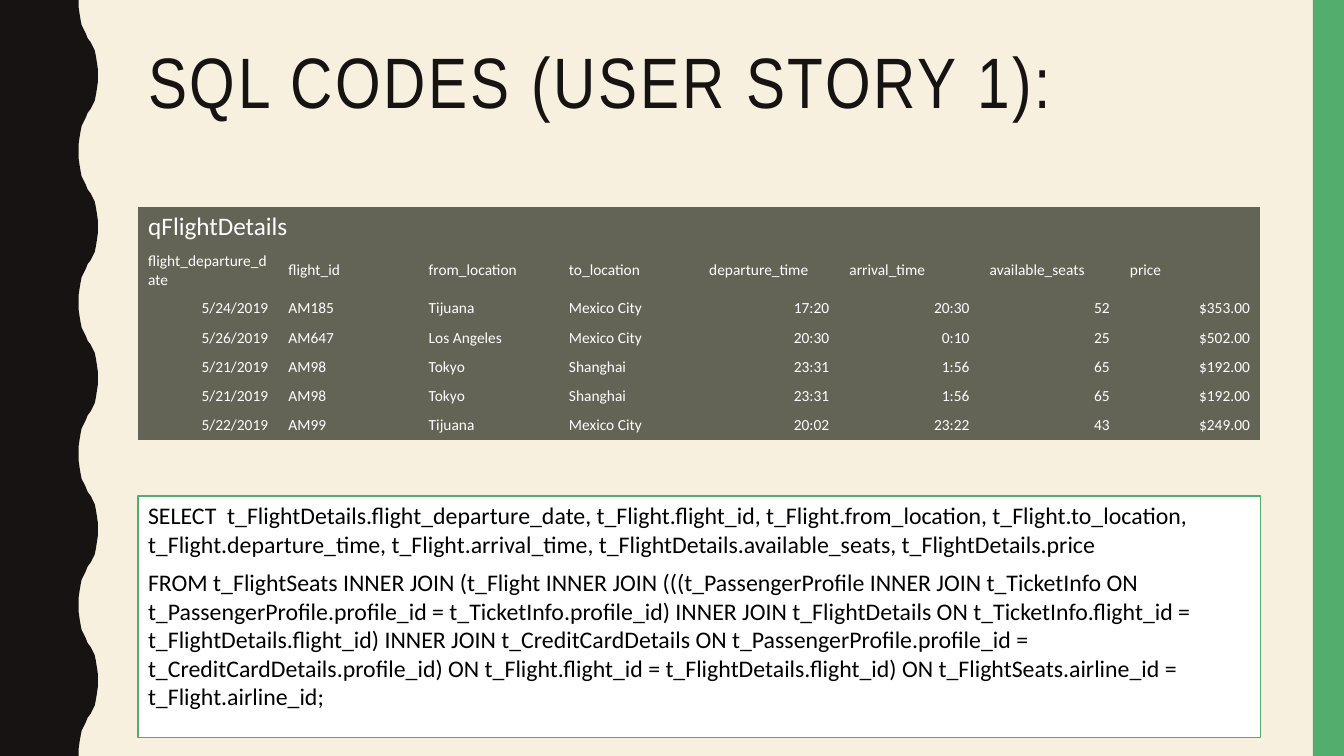
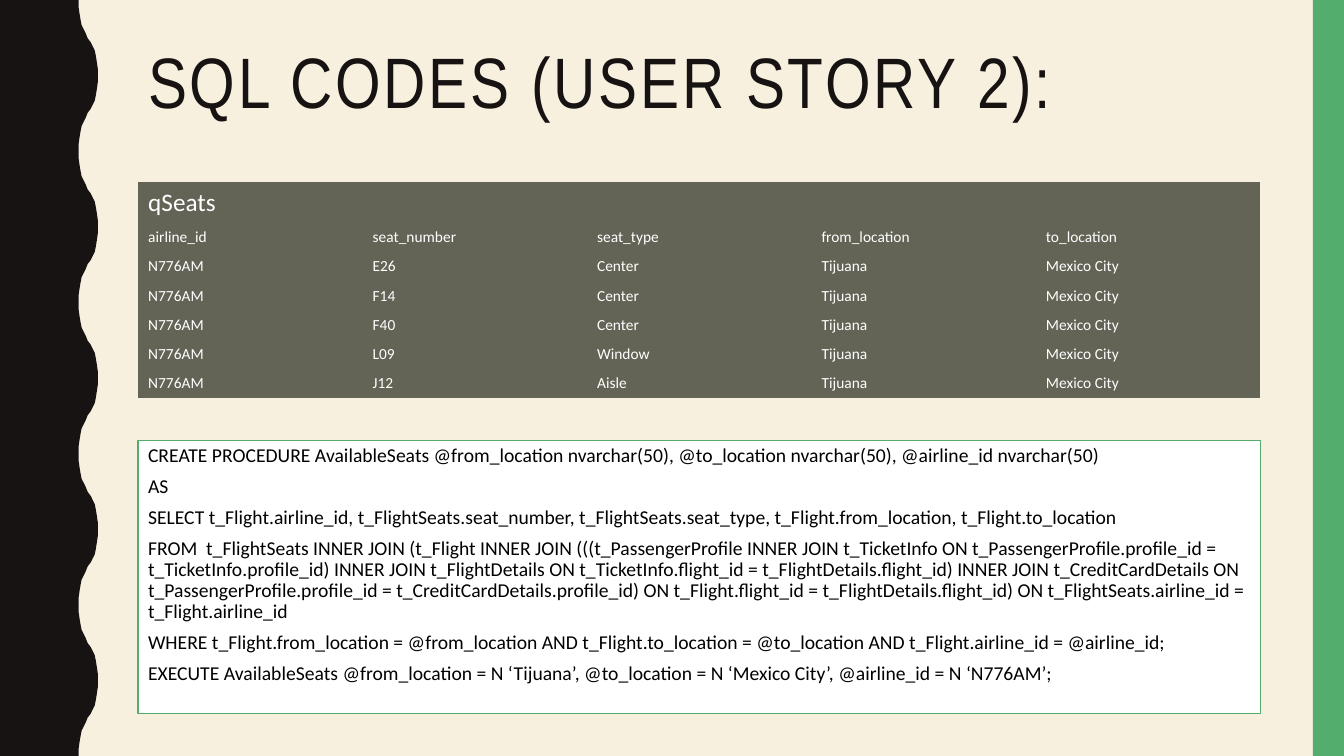
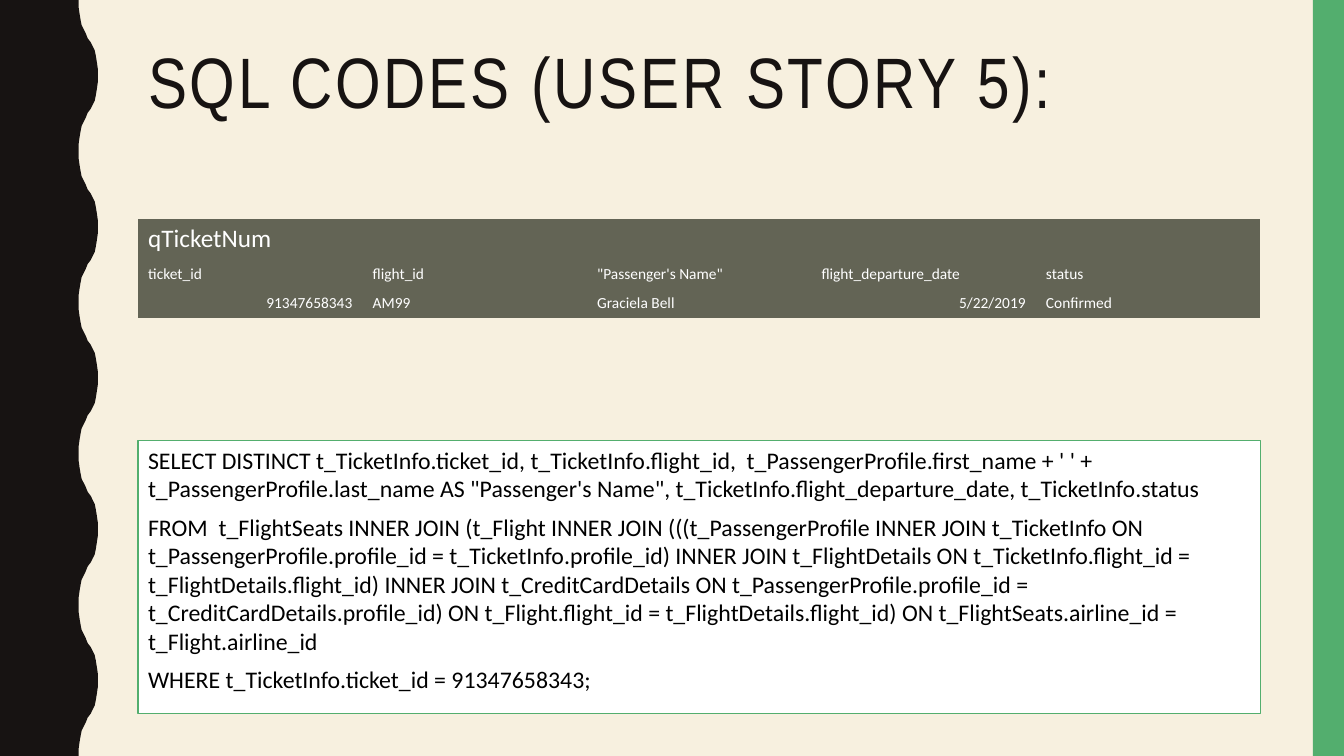
from pptx import Presentation
from pptx.dml.color import RGBColor
from pptx.enum.shapes import MSO_SHAPE
from pptx.enum.text import MSO_ANCHOR, PP_ALIGN
from pptx.util import Inches, Pt

INK, CREAM, GREEN = "171312", "F7F0DF", "53AE6E"
OLIVE, WHITE, BLACK = "636455", "FFFFFF", "000000"
BODY, HEAD = "Calibri", "Arial Narrow"
WIDE, HIGH = 13.33, 7.5
LEFT, SPAN = 1.37, 11.13
BAND = 0.31
TOP_ROW, ROW = 0.4, 0.29
NO_GRID = "{2D5ABB26-0587-4C30-8999-92F81FD0307C}"


def paint(item, color):
    """Give a fill, or the fill of a shape or cell, one solid hex colour."""
    fill = getattr(item, "fill", item)
    fill.solid()
    fill.fore_color.rgb = RGBColor.from_string(color)


def style(para, name, size, color):
    """Set the font of a whole paragraph."""
    para.font.name, para.font.size = name, Pt(size)
    para.font.color.rgb = RGBColor.from_string(color)


# Wave edge in hundredths of an inch: a quarter, mirrored to a rise, then a fall
quarter = [(78, 0), (78, 7), (79, 14), (80, 20), (81, 25), (83, 29), (85, 33)]
rise = quarter + [(87, 38)] + [(175 - x, 75 - y) for x, y in reversed(quarter)]
lobe = rise + [(x, 150 - y) for x, y in reversed(rise[:-1])]
wave = [(x, y + 150 * turn) for turn in range(5) for x, y in lobe]

JOIN = (
    "t_FlightSeats INNER JOIN (t_Flight INNER JOIN (((t_PassengerProfile "
    "INNER JOIN t_TicketInfo ON t_PassengerProfile.profile_id = "
    "t_TicketInfo.profile_id) INNER JOIN t_FlightDetails ON "
    "t_TicketInfo.flight_id = t_FlightDetails.flight_id) INNER JOIN "
    "t_CreditCardDetails ON t_PassengerProfile.profile_id = "
    "t_CreditCardDetails.profile_id) ON t_Flight.flight_id = "
    "t_FlightDetails.flight_id) ON t_FlightSeats.airline_id = t_Flight.airline_id"
)

stories = [
    dict(
        number=1, name="qFlightDetails", top=2.05,
        rows=[
            ["flight_departure_date", "flight_id", "from_location", "to_location",
             "departure_time", "arrival_time", "available_seats", "price"],
            ["5/24/2019", "AM185", "Tijuana", "Mexico City",
             "17:20", "20:30", "52", "$353.00"],
            ["5/26/2019", "AM647", "Los Angeles", "Mexico City",
             "20:30", "0:10", "25", "$502.00"],
            *[["5/21/2019", "AM98", "Tokyo", "Shanghai",
               "23:31", "1:56", "65", "$192.00"]] * 2,
            ["5/22/2019", "AM99", "Tijuana", "Mexico City",
             "20:02", "23:22", "43", "$249.00"],
        ],
        box=(4.92, 2.4), size=17, pitch=1.0,
        code=[
            "SELECT  t_FlightDetails.flight_departure_date, t_Flight.flight_id, "
            "t_Flight.from_location, t_Flight.to_location, "
            "t_Flight.departure_time, t_Flight.arrival_time, "
            "t_FlightDetails.available_seats, t_FlightDetails.price",
            f"FROM {JOIN};",
        ],
    ),
    dict(
        number=2, name="qSeats", top=1.81,
        rows=[
            ["airline_id", "seat_number", "seat_type", "from_location", "to_location"],
            *[["N776AM", seat, kind, "Tijuana", "Mexico City"] for seat, kind in [
                ("E26", "Center"), ("F14", "Center"), ("F40", "Center"),
                ("L09", "Window"), ("J12", "Aisle")]],
        ],
        box=(4.37, 2.71), size=14, pitch=0.9,
        code=[
            "CREATE PROCEDURE AvailableSeats @from_location nvarchar(50), "
            "@to_location nvarchar(50), @airline_id nvarchar(50)",
            "AS",
            "SELECT t_Flight.airline_id, t_FlightSeats.seat_number, "
            "t_FlightSeats.seat_type, t_Flight.from_location, t_Flight.to_location",
            f"FROM  {JOIN}",
            "WHERE t_Flight.from_location = @from_location AND "
            "t_Flight.to_location = @to_location AND "
            "t_Flight.airline_id = @airline_id;",
            "EXECUTE AvailableSeats @from_location = N ‘Tijuana’, "
            "@to_location = N ‘Mexico City’, @airline_id = N ‘N776AM’;",
        ],
    ),
    dict(
        number=5, name="qTicketNum", top=2.17,
        rows=[
            ["ticket_id", "flight_id", "\"Passenger's Name\"",
             "flight_departure_date", "status"],
            ["91347658343", "AM99", "Graciela Bell", "5/22/2019", "Confirmed"],
        ],
        box=(4.37, 2.71), size=17, pitch=1.0,
        code=[
            "SELECT DISTINCT t_TicketInfo.ticket_id, t_TicketInfo.flight_id,  "
            "t_PassengerProfile.first_name + ' ' + t_PassengerProfile.last_name "
            "AS \"Passenger's Name\", t_TicketInfo.flight_departure_date, "
            "t_TicketInfo.status",
            f"FROM  {JOIN}",
            "WHERE t_TicketInfo.ticket_id = 91347658343;",
        ],
    ),
]

deck = Presentation()
deck.slide_width, deck.slide_height = Inches(WIDE), Inches(HIGH)
paint(deck.slide_master.background, CREAM)

for story in stories:
    slide = deck.slides.add_slide(deck.slide_layouts[6])
    shapes = slide.shapes

    # Wavy edge and side band
    pen = shapes.build_freeform(0, 0, scale=Inches(0.01))
    pen.add_line_segments(wave + [(0, 750)], close=True)
    edge = pen.convert_to_shape()
    band = shapes.add_shape(MSO_SHAPE.RECTANGLE, Inches(WIDE - BAND), 0,
                            Inches(BAND), Inches(HIGH))
    for part, color in [(edge, INK), (band, GREEN)]:
        part.shadow.inherit = False
        paint(part, color)
        part.line.fill.background()

    # Title
    title = shapes.add_textbox(Inches(LEFT), Inches(0.42), Inches(SPAN), Inches(1.63))
    title.text_frame.word_wrap = True
    para = title.text_frame.paragraphs[0]
    para.line_spacing = 0.9
    style(para, HEAD, 51, INK)
    run = para.add_run()
    run.text = f"SQL CODES (USER STORY {story['number']}):"
    run._r.get_or_add_rPr().set("spc", "200")

    # Code box
    top, tall = story["box"]
    box = shapes.add_shape(MSO_SHAPE.RECTANGLE, Inches(LEFT), Inches(top),
                           Inches(SPAN), Inches(tall))
    box.shadow.inherit = False
    paint(box, WHITE)
    paint(box.line, GREEN)
    box.line.width = Pt(1)
    frame = box.text_frame
    frame.word_wrap = True
    frame.vertical_anchor = MSO_ANCHOR.TOP
    frame.text = "\n".join(story["code"])
    for para in frame.paragraphs:
        para.alignment = PP_ALIGN.LEFT
        para.line_spacing, para.space_before = story["pitch"], Pt(7)
        style(para, BODY, story["size"], BLACK)

    # Query result
    cols = len(story["rows"][0])
    rows = [[story["name"]] + [""] * (cols - 1)] + story["rows"]
    table = shapes.add_table(len(rows), cols, Inches(LEFT), Inches(story["top"]),
                             Inches(SPAN), Inches(TOP_ROW + ROW * (len(rows) - 1))).table
    table.first_row = table.horz_banding = False
    table._tbl.tblPr[0].text = NO_GRID
    table.cell(0, 0).merge(table.cell(0, cols - 1))
    for r, texts in enumerate(rows):
        table.rows[r].height = Inches(ROW if r else TOP_ROW)
        for c, text in enumerate(texts):
            cell = table.cell(r, c)
            paint(cell, OLIVE)
            cell.text = text
            cell.vertical_anchor = MSO_ANCHOR.MIDDLE if r < 2 else MSO_ANCHOR.TOP
            para = cell.text_frame.paragraphs[0]
            style(para, BODY, 11 if r else 18, WHITE)
            if text[:1].isdigit() or text.startswith("$"):
                para.alignment = PP_ALIGN.RIGHT

deck.save("out.pptx")
